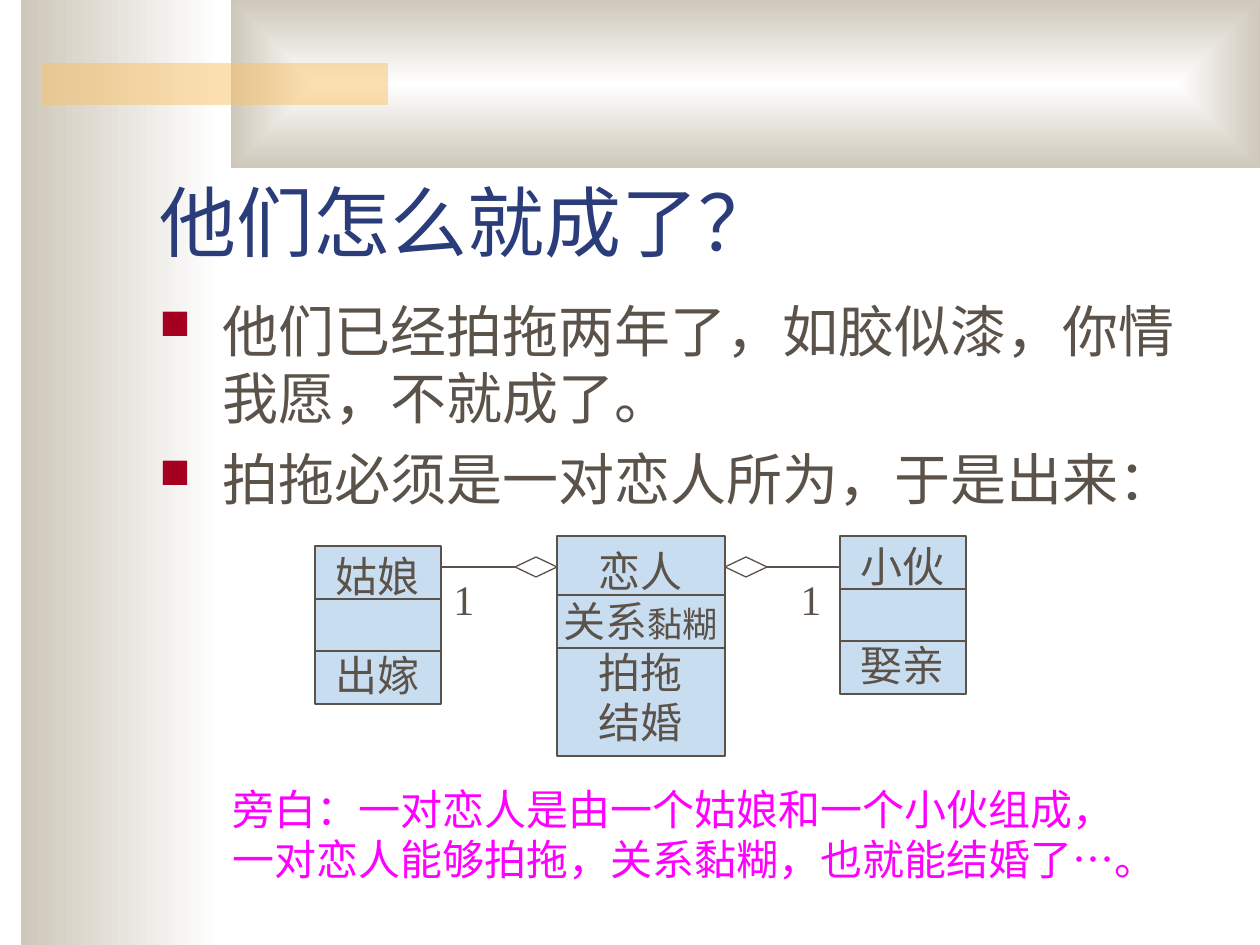
from lxml.etree import SubElement
from pptx import Presentation
from pptx.dml.color import RGBColor
from pptx.enum.shapes import MSO_CONNECTOR as Connector, MSO_SHAPE as Preset
from pptx.enum.text import MSO_ANCHOR as Anchor, PP_ALIGN as Align
from pptx.oxml.ns import qn
from pptx.util import Emu, Pt

FONT = "Times New Roman"
COLORS = {
    "white": "FFFFFF", "sand": "CEC8BA", "amber": "FAC164", "title": "2A3D7A",
    "ink": "5B5249", "bullet": "A50021", "aside": "FF00FF", "class": "C9DDF1",
}


def px(length):
    """Turn px into EMU at 126 px to the inch."""
    return Emu(round(length * 914400 / 126))


def rgb(name):
    """Look up a named colour."""
    return RGBColor.from_string(COLORS[name])


def add_preset(slide, preset, left, top, width, height):
    """Add a preset shape without shadow or outline."""
    shape = slide.shapes.add_shape(preset, px(left), px(top), px(width), px(height))
    shape.shadow.inherit = False
    shape.line.fill.background()
    return shape


def outline(line):
    """Give a shape or connector the diagram's thin line."""
    line.color.rgb = rgb("ink")
    line.width = Pt(0.75)


def add_shaded_band(slide, left, top, width, height, from_center=False):
    """Add a white-to-sand band, shaded leftwards or outwards from its centre."""
    band = add_preset(slide, Preset.RECTANGLE, left, top, width, height)
    band.fill.gradient()
    band.fill.gradient_angle = 180
    for stop, color, position in zip(band.fill.gradient_stops, ("white", "sand"), (0, 1)):
        stop.color.rgb = rgb(color)
        stop.position = position
    if from_center:
        gradient = band._element.spPr.find(qn("a:gradFill"))
        gradient.remove(gradient.find(qn("a:lin")))
        shading = SubElement(gradient, qn("a:path"), {"path": "rect"})
        SubElement(shading, qn("a:fillToRect"), dict.fromkeys("ltrb", "50000"))


def add_accent_bar(slide, left, top, width, height):
    """Add the half-transparent amber bar."""
    bar = add_preset(slide, Preset.RECTANGLE, left, top, width, height)
    bar.fill.solid()
    bar.fill.fore_color.rgb = rgb("amber")
    tint = bar._element.spPr.find(qn("a:solidFill")).find(qn("a:srgbClr"))
    SubElement(tint, qn("a:alpha"), {"val": "50000"})


def add_run(paragraph, text, size, color):
    """Add one styled run."""
    run = paragraph.add_run()
    run.text = text
    run.font.name = FONT
    run.font.size = Pt(size)
    run.font.color.rgb = rgb(color)


def add_bullet(paragraph):
    """Give a paragraph a red square bullet and a hanging indent."""
    properties = paragraph._p.get_or_add_pPr()
    properties.set("marL", str(px(63)))
    properties.set("indent", str(-px(63)))
    SubElement(SubElement(properties, qn("a:buClr")), qn("a:srgbClr"),
               {"val": COLORS["bullet"]})
    SubElement(properties, qn("a:buSzPct"), {"val": "75000"})
    SubElement(properties, qn("a:buChar"), {"char": "■"})


def add_text(slide, left, top, width, height, lines, size, color,
             anchor=Anchor.TOP, bulleted=False):
    """Add a wrapped text box with one paragraph per line."""
    frame = slide.shapes.add_textbox(px(left), px(top), px(width), px(height)).text_frame
    frame.word_wrap = True
    frame.vertical_anchor = anchor
    for index, line in enumerate(lines):
        paragraph = frame.add_paragraph() if index else frame.paragraphs[0]
        if bulleted:
            add_bullet(paragraph)
        if index:
            paragraph.space_before = Pt(8)
        add_run(paragraph, line, size, color)


def add_line(slide, x1, y1, x2, y2):
    """Add a straight line."""
    line = slide.shapes.add_connector(Connector.STRAIGHT, px(x1), px(y1), px(x2), px(y2))
    outline(line.line)
    SubElement(line._element.spPr, qn("a:effectLst"))


def add_class(slide, left, top, width, height, dividers, rows):
    """Add a class box; each row is its space before and its sized runs."""
    box = add_preset(slide, Preset.RECTANGLE, left, top, width, height)
    box.fill.solid()
    box.fill.fore_color.rgb = rgb("class")
    outline(box.line)
    frame = box.text_frame
    frame.word_wrap = False
    frame.vertical_anchor = Anchor.MIDDLE
    for index, (gap, runs) in enumerate(rows):
        paragraph = frame.add_paragraph() if index else frame.paragraphs[0]
        paragraph.alignment = Align.CENTER
        if gap:
            paragraph.space_before = Pt(gap)
        for text, size in runs:
            add_run(paragraph, text, size, "ink")
    for offset in dividers:
        add_line(slide, left, top + offset, left + width, top + offset)


def add_person(slide, left, top, name, action):
    """Add a person class with an empty middle compartment."""
    rows = [(0, [(name, 24)]), (28, [(action, 24)])]
    add_class(slide, left, top, 126, 158, (53, 105), rows)


def add_aggregation(slide, diamond_left, line_start, line_end, label_left):
    """Add an aggregation diamond, its line and its multiplicity."""
    diamond = add_preset(slide, Preset.DIAMOND, diamond_left, 557, 42, 20)
    diamond.fill.background()
    outline(diamond.line)
    add_line(slide, line_start, 567, line_end, 567)
    add_text(slide, label_left, 567, 53, 63, ["1"], 24, "ink")


def main():
    """Build and save the slide."""
    deck = Presentation()
    deck.slide_width, deck.slide_height = px(1260), px(945)
    slide = deck.slides.add_slide(deck.slide_layouts[6])

    add_shaded_band(slide, 21, 0, 199, 945)
    add_shaded_band(slide, 231, 0, 1029, 168, from_center=True)
    add_accent_bar(slide, 42, 63, 346, 42)

    add_text(slide, 147, 116, 1071, 157, ["他们怎么就成了？"], 44, "title", Anchor.BOTTOM)
    add_text(slide, 147, 290, 1071, 567,
             ["他们已经拍拖两年了，如胶似漆，你情我愿，不就成了。",
              "拍拖必须是一对恋人所为，于是出来："], 32, "ink", bulleted=True)
    add_text(slide, 220, 777, 914, 113,
             ["旁白：一对恋人是由一个姑娘和一个小伙组成，一对恋人能够拍拖，关系黏糊，也就能结婚了…。"],
             24, "aside")

    add_person(slide, 315, 546, "姑娘", "出嫁")
    add_class(slide, 557, 536, 168, 220, (59, 112),
              [(0, [("恋人", 24)]), (0, [("关系", 24), ("黏糊", 20)]),
               (0, [("拍拖", 24)]), (0, [("结婚", 24)])])
    add_person(slide, 840, 536, "小伙", "娶亲")
    add_aggregation(slide, 515, 441, 515, 441)
    add_aggregation(slide, 725, 767, 840, 788)

    deck.save("out.pptx")


if __name__ == "__main__":
    main()
